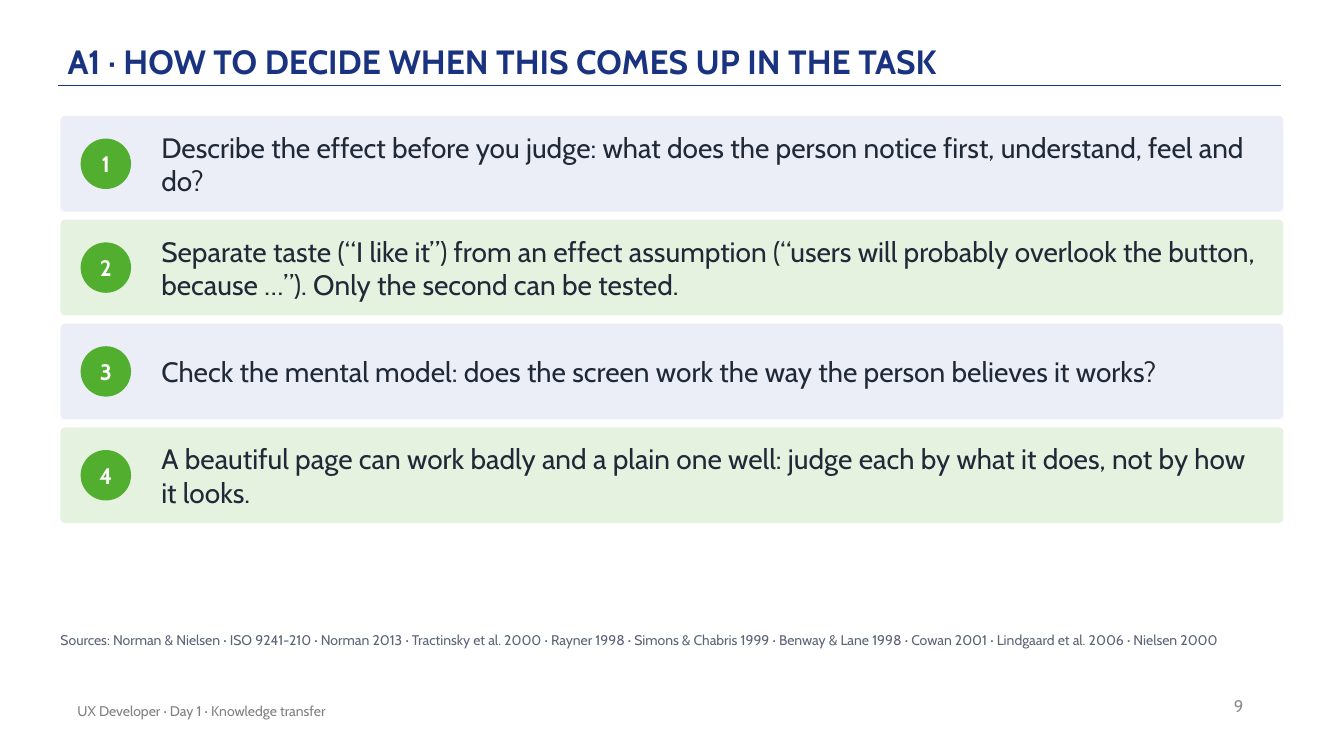
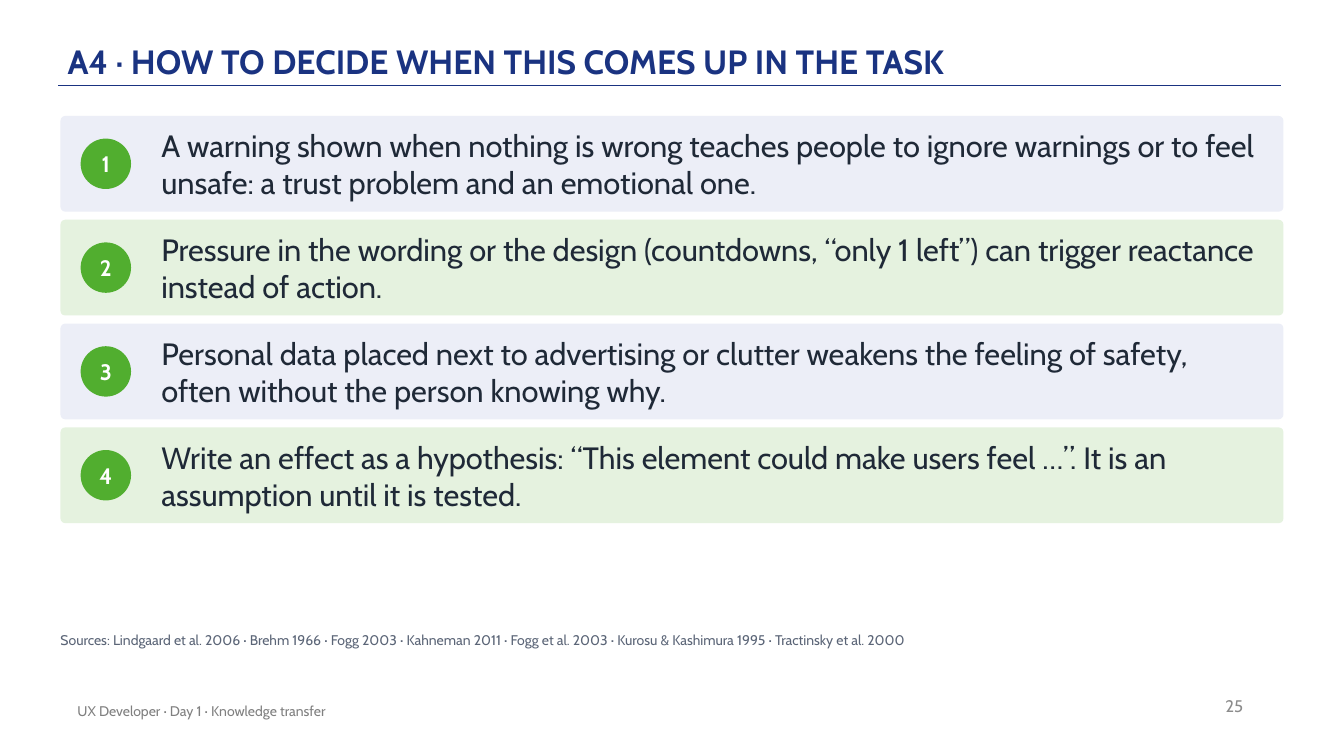
from pptx import Presentation
from pptx import util as u
from pptx.dml.color import RGBColor
from pptx.enum import shapes, text
from pptx.oxml.ns import qn
from lxml import etree

FONT = "Cabin"
COLORS = {
    "navy": "1A3381", "green": "51AE2F", "white": "FFFFFF",
    "band_blue": "ECEEF7", "band_green": "E5F2DF",
    "ink": "1F2937", "source": "5B6577", "footer": "808080", "number": "8C8C8C",
}
FOOTER = "UX Developer · Day 1 · Knowledge transfer"

# Row grid, in inches
ROW_LEFT, ROW_TOP, ROW_W, ROW_H, ROW_PITCH = 0.6, 1.15, 12.13, 0.95, 1.03
BADGE = 0.5


def color(name):
    return RGBColor.from_string(COLORS[name])


class Deck:
    """Holds the presentation, its style and the current slide."""

    def __init__(self):
        self.prs = Presentation()
        self.prs.slide_width = u.Inches(13.33)
        self.prs.slide_height = u.Inches(7.5)
        self.s = None

    def set_text(self, sp, content, size, ink, bold=False, align=text.PP_ALIGN.LEFT,
                 anchor=text.MSO_ANCHOR.MIDDLE, insets=(0, 0, 0, 0)):
        tf = sp.text_frame
        tf.text = content
        tf.word_wrap = True
        tf.vertical_anchor = anchor
        tf.margin_left, tf.margin_top, tf.margin_right, tf.margin_bottom = map(u.Inches, insets)
        p = tf.paragraphs[0]
        p.alignment = align
        font = p.runs[0].font
        font.name, font.size, font.bold = FONT, u.Pt(size), bold
        font.color.rgb = color(ink)
        return p

    def text_box(self, box, content, size, ink, grow=False, **style):
        sp = self.s.shapes.add_textbox(*map(u.Inches, box))
        p = self.set_text(sp, content, size, ink, **style)
        if grow:
            sp.text_frame.auto_size = text.MSO_AUTO_SIZE.SHAPE_TO_FIT_TEXT
        return p

    def shape(self, kind, box, fill):
        sp = self.s.shapes.add_shape(kind, *map(u.Inches, box))
        sp.shadow.inherit = False
        sp.fill.solid()
        sp.fill.fore_color.rgb = color(fill)
        sp.line.fill.background()
        return sp

    def rule(self, x1, x2, y):
        line = self.s.shapes.add_connector(
            shapes.MSO_CONNECTOR.STRAIGHT, *map(u.Inches, (x1, y, x2, y)))
        line.line.color.rgb = color("navy")
        line.line.width = u.Pt(1)
        etree.SubElement(line._element.spPr, qn("a:effectLst"))

    def title(self, content):
        sp = self.s.shapes.title
        sp.left, sp.top, sp.width, sp.height = map(u.Inches, (0.67, 0.12, 11, 0.72))
        p = self.set_text(sp, content, 24, "navy", bold=True,
                          anchor=text.MSO_ANCHOR.BOTTOM, insets=(0, 0.03, 0, 0.03))
        p.line_spacing = 0.9
        sp.text_frame.auto_size = text.MSO_AUTO_SIZE.NONE

    def footer(self, number):
        insets = (0.1, 0.05, 0.1, 0.05)
        self.text_box((9.43, 6.8, 3, 0.4), str(number), 12, "number",
                      align=text.PP_ALIGN.RIGHT, insets=insets)
        self.text_box((0.67, 6.85, 6.7, 0.4), FOOTER, 10, "footer", insets=insets)

    def row(self, i, content, size):
        top = ROW_TOP + i * ROW_PITCH
        band = self.shape(shapes.MSO_SHAPE.ROUNDED_RECTANGLE, (ROW_LEFT, top, ROW_W, ROW_H),
                          ("band_blue", "band_green")[i % 2])
        band.adjustments[0] = 0.05
        badge = self.shape(shapes.MSO_SHAPE.OVAL,
                           (ROW_LEFT + 0.2, top + (ROW_H - BADGE) / 2, BADGE, BADGE), "green")
        self.set_text(badge, str(i + 1), 16, "white", bold=True, align=text.PP_ALIGN.CENTER)
        self.text_box((ROW_LEFT + 1, top, ROW_W - 1.2, ROW_H), content, size, "ink", grow=True)

    def sources(self, names):
        p = self.text_box((ROW_LEFT, 6.27, 12.1, 0.3), "Sources: " + " · ".join(names), 10,
                          "source", grow=True, anchor=text.MSO_ANCHOR.TOP)
        p.space_after = u.Pt(6)

    def decision_slide(self, topic, number, size, rows, sources):
        self.s = self.prs.slides.add_slide(self.prs.slide_layouts[5])
        self.rule(0.58, 12.71, 0.85)
        self.title(f"{topic} · HOW TO DECIDE WHEN THIS COMES UP IN THE TASK")
        self.footer(number)
        for i, content in enumerate(rows):
            self.row(i, content, size)
        self.sources(sources)


def main():
    deck = Deck()

    # A1: describing and testing effects
    deck.decision_slide("A1", 9, 20, [
        "Describe the effect before you judge: what does the person notice first, "
        "understand, feel and do?",
        "Separate taste (“I like it”) from an effect assumption (“users will probably "
        "overlook the button, because …”). Only the second can be tested.",
        "Check the mental model: does the screen work the way the person believes it works?",
        "A beautiful page can work badly and a plain one well: judge each by what it does, "
        "not by how it looks.",
    ], ["Norman & Nielsen", "ISO 9241-210", "Norman 2013", "Tractinsky et al. 2000",
        "Rayner 1998", "Simons & Chabris 1999", "Benway & Lane 1998", "Cowan 2001",
        "Lindgaard et al. 2006", "Nielsen 2000"])

    # A4: trust and emotion
    deck.decision_slide("A4", 25, 22, [
        "A warning shown when nothing is wrong teaches people to ignore warnings or to feel "
        "unsafe: a trust problem and an emotional one.",
        "Pressure in the wording or the design (countdowns, “only 1 left”) can trigger "
        "reactance instead of action.",
        "Personal data placed next to advertising or clutter weakens the feeling of safety, "
        "often without the person knowing why.",
        "Write an effect as a hypothesis: “This element could make users feel …”. "
        "It is an assumption until it is tested.",
    ], ["Lindgaard et al. 2006", "Brehm 1966", "Fogg 2003", "Kahneman 2011",
        "Fogg et al. 2003", "Kurosu & Kashimura 1995", "Tractinsky et al. 2000"])

    deck.prs.save("out.pptx")


if __name__ == "__main__":
    main()
